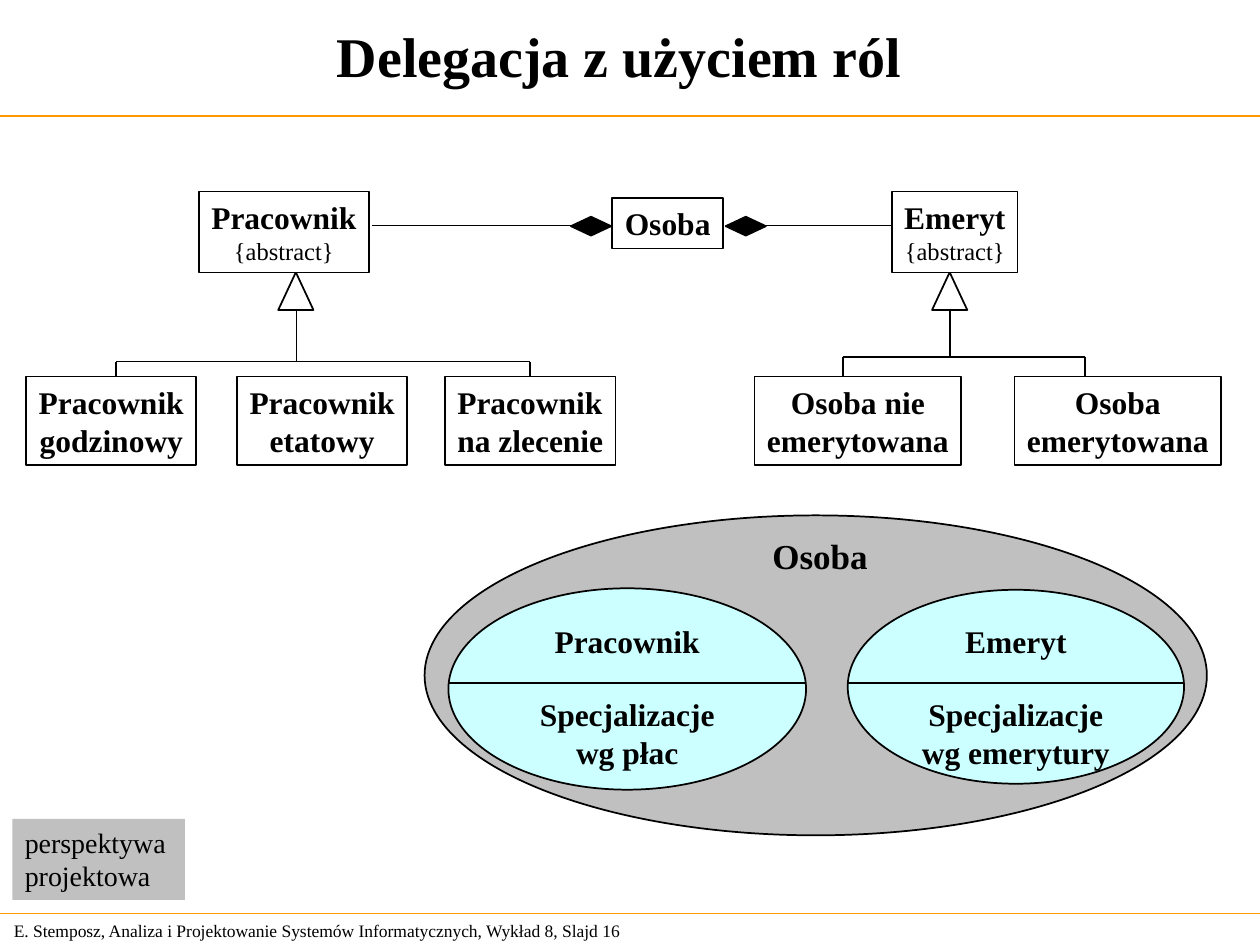
from lxml import etree
from pptx import Presentation
from pptx import util as u
from pptx.dml import color
from pptx.enum import shapes, text
from pptx.oxml import ns

COLORS = {"ink": "000000", "paper": "FFFFFF", "rule": "FF9900",
          "gray": "C0C0C0", "aqua": "CCFFFF"}
FONT = "Times New Roman"
CENTER, LEFT = text.PP_ALIGN.CENTER, text.PP_ALIGN.LEFT
TOP, MIDDLE = text.MSO_ANCHOR.TOP, text.MSO_ANCHOR.MIDDLE
RECT = shapes.MSO_SHAPE.RECTANGLE
OVAL = shapes.MSO_SHAPE.OVAL
SUBCLASS_TOP = 7.59
ASSOCIATION_Y = 4.55


def rgb(name):
    return color.RGBColor.from_string(COLORS[name])


def write(box, lines, sizes, bold=True, align=CENTER, anchor=TOP, wrap=False):
    frame = box.text_frame
    frame.text = "\n".join(lines)
    frame.word_wrap = wrap
    frame.vertical_anchor = anchor
    frame.margin_left = frame.margin_right = u.Cm(0.25)
    frame.margin_top = frame.margin_bottom = u.Cm(0.13)
    for index, para in enumerate(frame.paragraphs):
        para.alignment = align
        for span in para.runs:
            span.font.name = FONT
            span.font.size = u.Pt(sizes[min(index, len(sizes) - 1)])
            span.font.bold = bold and (index == 0 or len(sizes) == 1)
            span.font.color.rgb = rgb("ink")


def add_title(page, wording):
    title = page.shapes.title
    title.left, title.top = u.Cm(0), u.Cm(-0.05)
    title.width, title.height = u.Cm(24.97), u.Cm(2.34)
    write(title, [wording], [32], anchor=MIDDLE, wrap=True)
    title.text_frame.auto_size = text.MSO_AUTO_SIZE.NONE


def add_shape(page, kind, place, fill="paper", line="ink", weight=1):
    shape = page.shapes.add_shape(kind, *map(u.Cm, place))
    shape.shadow.inherit = False
    shape.fill.solid()
    shape.fill.fore_color.rgb = rgb(fill)
    if line:
        shape.line.color.rgb = rgb(line)
        shape.line.width = u.Pt(weight)
    else:
        shape.line.fill.background()
    return shape


def add_label(page, place, lines, size, **style):
    box = page.shapes.add_textbox(*map(u.Cm, place))
    write(box, lines, [size], **style)


def add_line(page, start, end, weight=1, ink="ink"):
    line = page.shapes.add_connector(shapes.MSO_CONNECTOR.STRAIGHT, *map(u.Cm, start + end))
    line.line.color.rgb = rgb(ink)
    line.line.width = u.Pt(weight)
    etree.SubElement(line._element.spPr, ns.qn("a:effectLst"))
    return line


def add_class(page, place, lines):
    box = add_shape(page, RECT, place)
    write(box, lines, [18])
    return box


def add_abstract_class(page, left, width, name):
    box = add_shape(page, RECT, (left, 3.86, width, 1.63), weight=0.75)
    write(box, [name, "{abstract}"], [18, 14], anchor=MIDDLE)


def add_inheritance(page, center, spine_y, left, right):
    add_shape(page, shapes.MSO_SHAPE.ISOSCELES_TRIANGLE, (center - 0.36, 5.49, 0.71, 0.76))
    add_line(page, (center, 6.25), (center, spine_y), 0.75)
    add_line(page, (left, spine_y), (right, spine_y))
    return [add_line(page, (x, spine_y), (x, SUBCLASS_TOP)) for x in (left, right)]


def add_composition(page, diamond_left, start, end):
    add_line(page, (start, ASSOCIATION_Y), (end, ASSOCIATION_Y), 0.75)
    add_shape(page, shapes.MSO_SHAPE.DIAMOND, (diamond_left, 4.37, 0.81, 0.38), fill="ink")


def add_role(page, oval, name, detail):
    left, top, width, height = oval
    add_shape(page, OVAL, oval, fill="aqua")
    add_line(page, (left, 13.77), (left + width, 13.77))
    add_label(page, (left, 12.4, width, 1.02), [name], 18)
    add_label(page, (left, 13.88, width, 1.78), ["Specjalizacje", detail], 18)


def add_class_diagram(page):
    employee_drops = add_inheritance(page, 5.97, 7.29, 2.34, 10.69)
    add_inheritance(page, 19.15, 7.19, 16.99, 21.87)
    add_composition(page, 11.51, 7.49, 11.53)
    add_composition(page, 14.63, 15.44, 17.98)
    add_class(page, (12.34, 3.99, 2.24, 1.02), ["Osoba"])
    add_abstract_class(page, 4.01, 3.43, "Pracownik")
    add_abstract_class(page, 17.98, 2.54, "Emeryt")
    subclasses = [
        (0.53, 3.43, ["Pracownik", "godzinowy"]),
        (4.78, 3.43, ["Pracownik", "etatowy"]),
        (15.21, 4.17, ["Osoba nie", "emerytowana"]),
        (20.45, 4.17, ["Osoba", "emerytowana"]),
    ]
    for left, width, lines in subclasses:
        add_class(page, (left, SUBCLASS_TOP, width, 1.78), lines)
    contractor = add_class(page, (8.97, SUBCLASS_TOP, 3.44, 1.78), ["Pracownik", "na zlecenie"])
    for para in contractor.text_frame.paragraphs:
        para.alignment = LEFT
    employee_drops[-1].end_connect(contractor, 0)


def add_role_diagram(page):
    add_shape(page, OVAL, (8.56, 10.39, 15.77, 6.45), fill="gray")
    add_label(page, (15.32, 10.64, 2.44, 1.12), ["Osoba"], 20, align=LEFT)
    add_role(page, (9.04, 11.86, 7.21, 4.06), "Pracownik", "wg płac")
    add_role(page, (17.09, 11.89, 6.78, 3.91), "Emeryt", "wg emerytury")


def main():
    deck = Presentation()
    deck.slide_width, deck.slide_height = u.Cm(25.4), u.Cm(19.05)
    page = deck.slides.add_slide(deck.slide_layouts[5])
    add_title(page, "Delegacja z użyciem ról")
    for y in (2.34, 18.42):
        add_line(page, (0, y), (25.4, y), 0.75, "rule")
    add_label(page, (0.03, 18.42, 13.31, 0.69),
              ["E. Stemposz, Analiza i Projektowanie Systemów Informatycznych, Wykład 8, Slajd 16"],
              10, bold=False, align=LEFT, anchor=MIDDLE, wrap=True)
    add_role_diagram(page)
    add_class_diagram(page)
    perspective = add_shape(page, RECT, (0.25, 16.51, 3.48, 1.63), fill="gray", line=None)
    write(perspective, ["perspektywa", "projektowa"], [16], bold=False, align=LEFT)
    deck.save("out.pptx")


if __name__ == "__main__":
    main()
